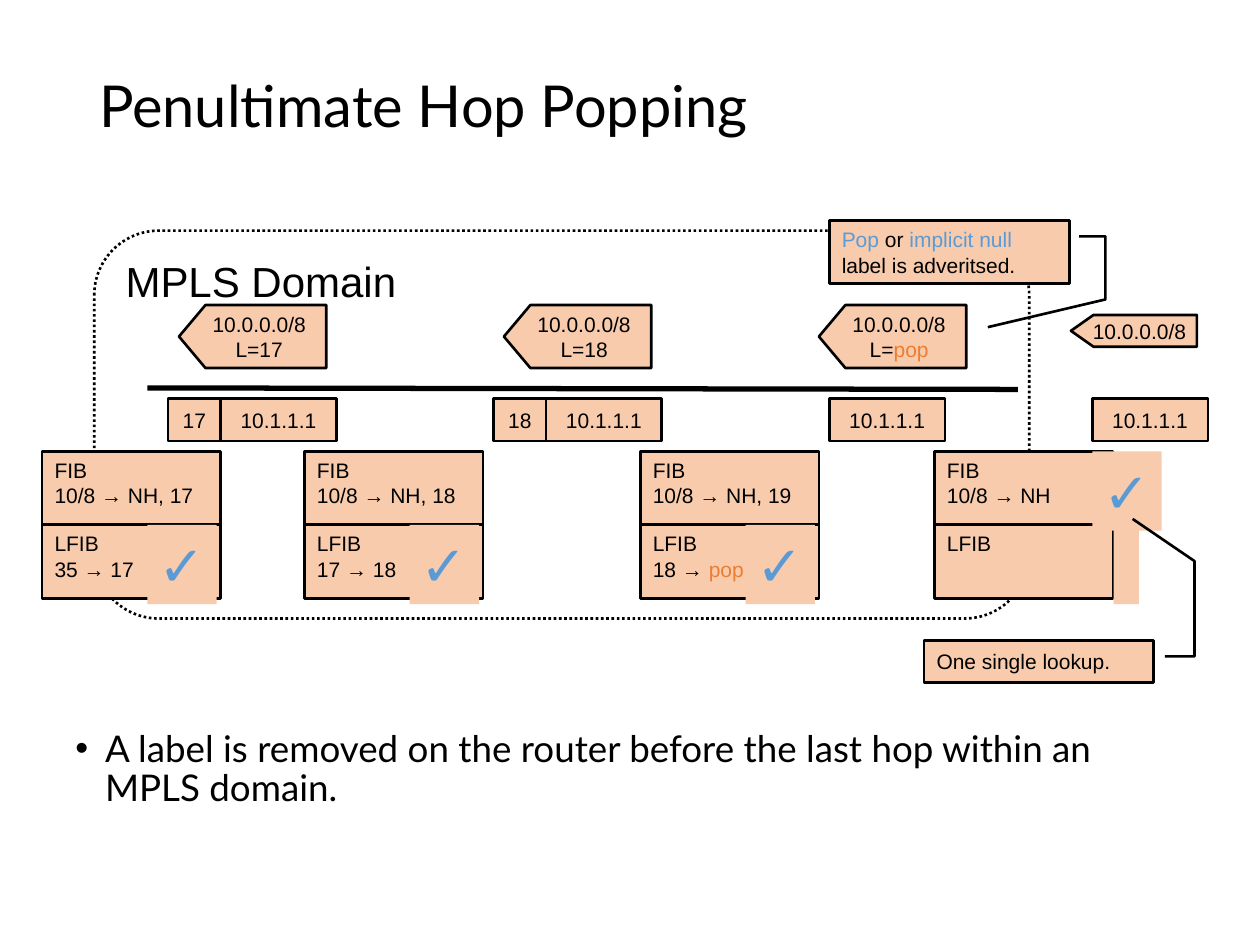
from lxml import etree
from pptx import Presentation
from pptx.dml.color import RGBColor
from pptx.enum.dml import MSO_LINE
from pptx.enum.shapes import MSO_CONNECTOR, MSO_SHAPE
from pptx.enum.text import MSO_ANCHOR, PP_ALIGN
from pptx.oxml.ns import qn
from pptx.util import Cm, Pt

BLACK = RGBColor(0x00, 0x00, 0x00)
PEACH = RGBColor(0xF8, 0xCB, 0xAD)
ORANGE = RGBColor(0xED, 0x7D, 0x31)
BLUE = RGBColor(0x5B, 0x9B, 0xD5)

LEFT, CENTER = PP_ALIGN.LEFT, PP_ALIGN.CENTER
TOP, MIDDLE = MSO_ANCHOR.TOP, MSO_ANCHOR.MIDDLE
PROCESS = MSO_SHAPE.FLOWCHART_PROCESS
DOMAIN = MSO_SHAPE.FLOWCHART_ALTERNATE_PROCESS
RECTANGLE = MSO_SHAPE.RECTANGLE
PENTAGON = MSO_SHAPE.PENTAGON
CALLOUT = MSO_SHAPE.LINE_CALLOUT_3
STRAIGHT = MSO_CONNECTOR.STRAIGHT
DOTTED = MSO_LINE.ROUND_DOT

# Rows of the diagram, in centimetres
ADVERT_TOP, PACKET_TOP, FIB_TOP = 6.15, 8.04, 9.1
TABLE_WIDTH, TABLE_HEIGHT = 3.6, 1.48
LFIB_TOP = FIB_TOP + TABLE_HEIGHT
PACKET_WIDTH, LABEL_WIDTH, PACKET_HEIGHT = 2.33, 1.06, 0.85
CHECK_WIDTH, CHECK_HEIGHT = 1.4, 1.6

# Router left edge, FIB entry, LFIB entry, check mark position
ROUTERS = [
    (0.85, "10/8 → NH, 17", ["35 → 17"], (2.97, LFIB_TOP)),
    (6.14, "10/8 → NH, 18", ["17 → 18"], (8.26, LFIB_TOP)),
    (12.91, "10/8 → NH, 19", ["18 → ", ("pop", ORANGE)], (15.03, LFIB_TOP)),
    (18.84, "10/8 → NH", None, (22.02, FIB_TOP)),
]
# Left edge and label of each advertisement
ADVERTS = [(3.61, ["L=17"]), (10.16, ["L=18"]), (16.51, ["L=", ("pop", ORANGE)])]
# Left edge of each packet and its label
PACKETS = [(4.45, "17"), (11.01, "18"), (16.72, None), (22.02, None)]


def write(shape, lines, size=12, font="Arial", align=LEFT, anchor=TOP,
          wrap=True, spacing=None, bullet=None):
    """Each line is a list of runs; a run is a text or a (text, colour) pair."""
    frame = shape.text_frame
    frame.word_wrap = wrap
    frame.vertical_anchor = anchor
    for index, runs in enumerate(lines):
        paragraph = frame.add_paragraph() if index else frame.paragraphs[0]
        paragraph.alignment = align
        if spacing:
            paragraph.line_spacing = spacing
        if bullet:
            properties = paragraph._p.get_or_add_pPr()
            indent = Cm(0.6)
            properties.set("marL", str(indent))
            properties.set("indent", str(-indent))
            etree.SubElement(properties, qn("a:buFont"), typeface="Arial")
            etree.SubElement(properties, qn("a:buChar"), char=bullet)
        for item in runs:
            text, color = (item, BLACK) if isinstance(item, str) else item
            run = paragraph.add_run()
            run.text = text
            run.font.name = font
            run.font.size = Pt(size)
            run.font.color.rgb = color


def add_box(slide, kind, left, top, width, height, fill=PEACH, outlined=True,
            adjustments=()):
    box = slide.shapes.add_shape(kind, Cm(left), Cm(top), Cm(width), Cm(height))
    box.shadow.inherit = False
    if fill is None:
        box.fill.background()
    else:
        box.fill.solid()
        box.fill.fore_color.rgb = fill
    if outlined:
        box.line.color.rgb = BLACK
        box.line.width = Pt(1.5)
    else:
        box.line.fill.background()
    for index, value in enumerate(adjustments):
        box.adjustments[index] = value
    return box


def add_text(slide, left, top, width, height, lines, **style):
    box = slide.shapes.add_textbox(Cm(left), Cm(top), Cm(width), Cm(height))
    write(box, lines, **style)


def add_path(slide, start, end):
    path = slide.shapes.add_connector(STRAIGHT, *map(Cm, start + end))
    path.line.color.rgb = BLACK
    path.line.width = Pt(3)
    etree.SubElement(path._element.spPr, qn("a:effectLst"))


def add_advert(slide, left, top, width, height, lines, point):
    advert = add_box(slide, PENTAGON, left, top, width, height,
                     adjustments=[point])
    advert._element.spPr.find(qn("a:xfrm")).set("flipH", "1")
    write(advert, lines, align=CENTER, anchor=MIDDLE, wrap=False)


def add_router(slide, left, fib, lfib):
    lfib_lines = [["LFIB"], lfib] if lfib else [["LFIB"]]
    for top, lines in ((LFIB_TOP, lfib_lines), (FIB_TOP, [["FIB"], [fib]])):
        table = add_box(slide, PROCESS, left, top, TABLE_WIDTH, TABLE_HEIGHT)
        write(table, lines)


def add_packet(slide, left, label):
    cells = [(left, PACKET_WIDTH, "10.1.1.1")]
    if label:
        cells.append((left - LABEL_WIDTH, LABEL_WIDTH, label))
    for cell_left, width, text in cells:
        cell = add_box(slide, PROCESS, cell_left, PACKET_TOP, width, PACKET_HEIGHT)
        write(cell, [[text]], align=CENTER, anchor=MIDDLE, wrap=False)


def add_check(slide, left, top):
    check = add_box(slide, RECTANGLE, left, top, CHECK_WIDTH, CHECK_HEIGHT,
                    outlined=False)
    write(check, [[("✓", BLUE)]], size=32, align=CENTER, wrap=False)


def add_callout(slide, left, top, width, height, runs, leader):
    callout = add_box(slide, CALLOUT, left, top, width, height,
                      adjustments=leader)
    write(callout, [runs], anchor=MIDDLE)


def main():
    deck = Presentation()
    deck.slide_width, deck.slide_height = Cm(25.4), Cm(19.05)
    slide = deck.slides.add_slide(deck.slide_layouts[6])

    # Title and domain
    add_text(slide, 1.75, 1.02, 21.9, 2.36, [["Penultimate Hop Popping"]],
             size=33, font="Lato", anchor=MIDDLE, spacing=0.9)
    domain = add_box(slide, DOMAIN, 1.9, 4.65, 18.85, 7.82, fill=None)
    domain.line.dash_style = DOTTED
    write(domain, [["MPLS Domain"]], size=24)
    add_path(slide, (2.97, 7.82), (20.52, 7.85))

    # Statement
    add_text(slide, 1.27, 14.6, 22, 2.97,
             [["A label is removed on the router before the last hop "
               "within an MPLS domain."]],
             size=21, font="Lato", spacing=0.9, bullet="•")

    # Label advertisements
    for left, label in ADVERTS:
        add_advert(slide, left, ADVERT_TOP, 2.97, 1.27,
                   [["10.0.0.0/8"], label], 0.42)
    add_advert(slide, 21.59, 6.35, 2.54, 0.64, [["10.0.0.0/8"]], 0.71)

    # Routers, packets and lookups
    for left, fib, lfib, _ in ROUTERS:
        add_router(slide, left, fib, lfib)
    for left, label in PACKETS:
        add_packet(slide, left, label)
    add_box(slide, RECTANGLE, 22.45, LFIB_TOP, 0.51, CHECK_HEIGHT, outlined=False)
    for *_, (left, top) in ROUTERS:
        add_check(slide, left, top)

    # Callouts
    add_callout(slide, 18.63, 12.91, 4.62, 0.85, ["One single lookup."],
                [0.38, 1.05, 0.38, 1.18, -1.88, 1.18, -2.88, 0.91])
    add_callout(slide, 16.72, 4.45, 4.84, 1.27,
                [("Pop", BLUE), " or ", ("implicit null", BLUE),
                 " label is adveritsed."],
                [0.25, 1.04, 0.25, 1.15, 1.25, 1.15, 1.69, 0.66])

    deck.save("out.pptx")


if __name__ == "__main__":
    main()
